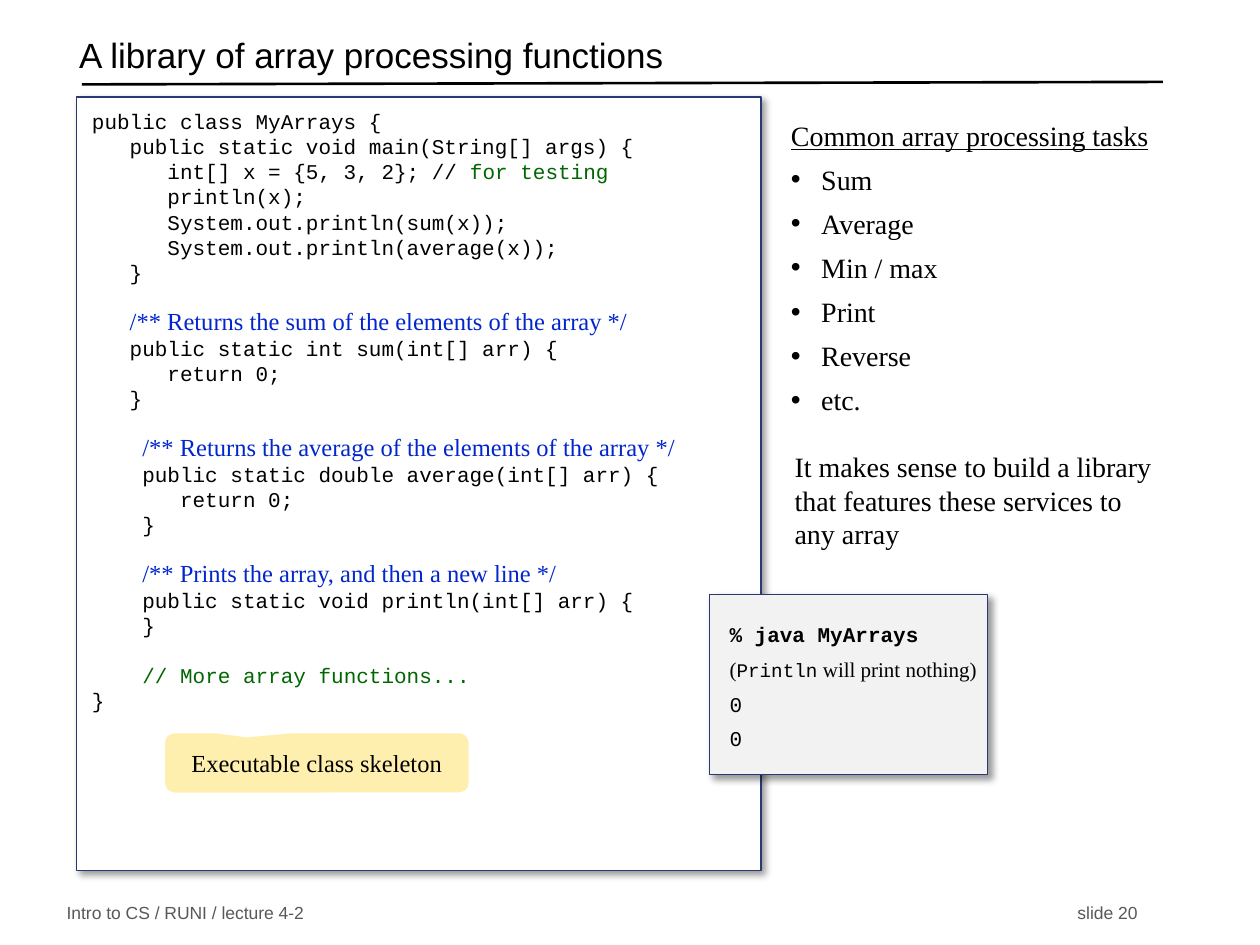
import pptx
import pptx.util
import pptx.dml.color
import pptx.enum.shapes
import pptx.enum.text
import pptx.oxml
import pptx.oxml.ns

Inches = pptx.util.Inches
Pt = pptx.util.Pt
SHAPE = pptx.enum.shapes.MSO_SHAPE
ANCHOR = pptx.enum.text.MSO_ANCHOR
NS = pptx.oxml.ns.nsdecls("a")
SANS, MONO, SERIF = "Arial", "Courier New", "Times New Roman"
COLORS = {
    "black": "000000", "white": "FFFFFF", "gray": "595959", "edge": "293973",
    "blue": "0226CC", "green": "006600", "cream": "FFEFAF", "pale": "F2F2F2",
}


def rgb(name):
    return pptx.dml.color.RGBColor.from_string(COLORS[name])


def put(par, text, size, face, color="black"):
    run = par.add_run()
    run.text = text
    run.font.size = Pt(size)
    run.font.name = face
    run.font.color.rgb = rgb(color)
    return run


def box(kind, at, fill=None, edge=None, ins=(0.1, 0.05, 0.1, 0.05), anchor=ANCHOR.MIDDLE):
    at = [Inches(n) for n in at]
    shape = slide.shapes.add_shape(kind, *at) if kind else slide.shapes.add_textbox(*at)
    if kind:
        shape.shadow.inherit = False
    if fill:
        shape.fill.solid()
        shape.fill.fore_color.rgb = rgb(fill)
    else:
        shape.fill.background()
    if edge:
        shape.line.color.rgb = rgb(edge)
        shape.line.width = Pt(0.75)
    else:
        shape.line.fill.background()
    frame = shape.text_frame
    frame.word_wrap = True
    frame.vertical_anchor = anchor
    frame.margin_left, frame.margin_top, frame.margin_right, frame.margin_bottom = map(Inches, ins)
    frame.paragraphs[0].alignment = pptx.enum.text.PP_ALIGN.LEFT
    return shape


deck = pptx.Presentation()
deck.slide_width, deck.slide_height = Inches(10), Inches(7.5)
slide = deck.slides.add_slide(deck.slide_layouts[6])

# Rule under the title
rule = slide.shapes.add_connector(
    pptx.enum.shapes.MSO_CONNECTOR.STRAIGHT,
    Inches(0.65), Inches(0.67), Inches(9.23), Inches(0.65))
rule.line.color.rgb = rgb("black")
rule.line.width = Pt(1.5)
rule._element.spPr.append(pptx.oxml.parse_xml(f"<a:effectLst {NS}/>"))

# Footer, with the slide number on a right tab
foot = box(None, (0.43, 7.14, 8.71, 0.21)).text_frame.paragraphs[0]
foot._p.get_or_add_pPr().append(pptx.oxml.parse_xml(
    f'<a:tabLst {NS}><a:tab pos="{Inches(8.5)}" algn="r"/></a:tabLst>'))
put(foot, "Intro to CS / RUNI / lecture 4-2\tslide 20", 10, SANS, "gray")

# Task list
tasks = box(SHAPE.RECTANGLE, (6.16, 0.89, 3.84, 4.14), "white", anchor=ANCHOR.TOP).text_frame
names = ["Common array processing tasks", "Sum", "Average", "Min / max", "Print", "Reverse", "etc."]
for i, name in enumerate(names):
    par = tasks.add_paragraph() if i else tasks.paragraphs[0]
    par.alignment = pptx.enum.text.PP_ALIGN.LEFT
    props = par._p.get_or_add_pPr()
    props.set("marL", str(Inches(0.26)))
    props.set("indent", str(Inches(-0.24)))
    if i:
        props.append(pptx.oxml.parse_xml(f'<a:buFont {NS} typeface="Arial"/>'))
        props.append(pptx.oxml.parse_xml(f'<a:buChar {NS} char="•"/>'))
        par.space_before = Pt(6)
    put(par, name, 16, SERIF).font.underline = i == 0

# Title
title = box(None, (0.53, 0.22, 8.6, 0.5)).text_frame.paragraphs[0]
title.line_spacing = 0.7
put(title, "A library of array processing functions", 20, SANS)

# Remark
note = box(SHAPE.ROUNDED_RECTANGULAR_CALLOUT, (6.16, 3.47, 3.13, 1))
for i, value in enumerate((-0.336, -0.788, 0.167)):
    note.adjustments[i] = value
put(note.text_frame.paragraphs[0],
    "It makes sense to build a library that features these services to any array", 16, SERIF)

# Code panel: blocks are set apart by one line
CODE, DOC, SIDE = (12, MONO), (14, SERIF, "blue"), (12, MONO, "green")
blocks = [
    [
        [("public class MyArrays {", CODE)],
        [("   public static void main(String[] args) {", CODE)],
        [("      int[] x = {5, 3, 2}; // ", CODE), ("for testing", SIDE)],
        [("      println(x);", CODE)],
        [("      System.out.println(sum(x));", CODE)],
        [("      System.out.println(average(x));", CODE)],
        [("   }", CODE)],
    ],
    [
        [("   ", CODE), ("/** Returns the sum of the elements of the array */", DOC)],
        [("   public static int sum(int[] arr) {", CODE)],
        [("      return 0;", CODE)],
        [("   }", CODE)],
    ],
    [
        [("    ", CODE), ("/** Returns the average of the elements of the array */", DOC)],
        [("    public static double average(int[] arr) {", CODE)],
        [("       return 0;", CODE)],
        [("    }", CODE)],
    ],
    [
        [("    ", CODE), ("/** Prints the array, and then a new line */", DOC)],
        [("    public static void println(int[] arr) {", CODE)],
        [("    }", CODE)],
    ],
    [
        [("    ", CODE), ("// More array functions...", SIDE)],
        [("}", CODE)],
    ],
]
code = box(SHAPE.RECTANGLE, (0.61, 0.77, 5.43, 6.14), "white", "edge",
           (0.12, 0.09, 0, 0.08), ANCHOR.TOP)
par = code.text_frame.paragraphs[0]
for b, block in enumerate(blocks):
    for i, line in enumerate(block):
        if b or i:
            par = code.text_frame.add_paragraph()
        par.alignment = pptx.enum.text.PP_ALIGN.LEFT
        par.line_spacing = Pt(14.4)
        if b and i == 0:
            par.space_before = Pt(14.4)
        for text, style in line:
            put(par, text, *style)

# Label on the code
label = box(SHAPE.ROUNDED_RECTANGULAR_CALLOUT, (1.31, 5.82, 2.41, 0.47), "cream")
for i, value in enumerate((-0.231, -0.43, 0.167)):
    label.adjustments[i] = value
par = label.text_frame.paragraphs[0]
par.alignment = pptx.enum.text.PP_ALIGN.CENTER
put(par, "Executable class skeleton", 14, SERIF)

# Output panel
shell = box(SHAPE.RECTANGLE, (5.63, 4.72, 2.21, 1.43), "pale", "edge",
            (0.16, 0.14, 0, 0.09), ANCHOR.TOP)
lines = [
    [("% java MyArrays", CODE)],
    [("(", (12, SERIF)), ("Println", (11, MONO)), (" will print nothing)", (12, SERIF))],
    [("0", CODE)],
    [("0", CODE)],
]
for i, line in enumerate(lines):
    par = shell.text_frame.add_paragraph() if i else shell.text_frame.paragraphs[0]
    par.alignment = pptx.enum.text.PP_ALIGN.LEFT
    par.line_spacing = Pt(19.8)
    for text, style in line:
        put(par, text, *style).font.bold = i == 0

# Shadows of the two panels
for panel in (code, shell):
    panel._element.spPr.find(pptx.oxml.ns.qn("a:effectLst")).append(pptx.oxml.parse_xml(
        f'<a:outerShdw {NS} blurRad="{Pt(4)}" dist="{Pt(3)}" dir="2700000" algn="tl" rotWithShape="0">'
        f'<a:srgbClr val="{COLORS["black"]}"><a:alpha val="40000"/></a:srgbClr></a:outerShdw>'))

deck.save("out.pptx")
